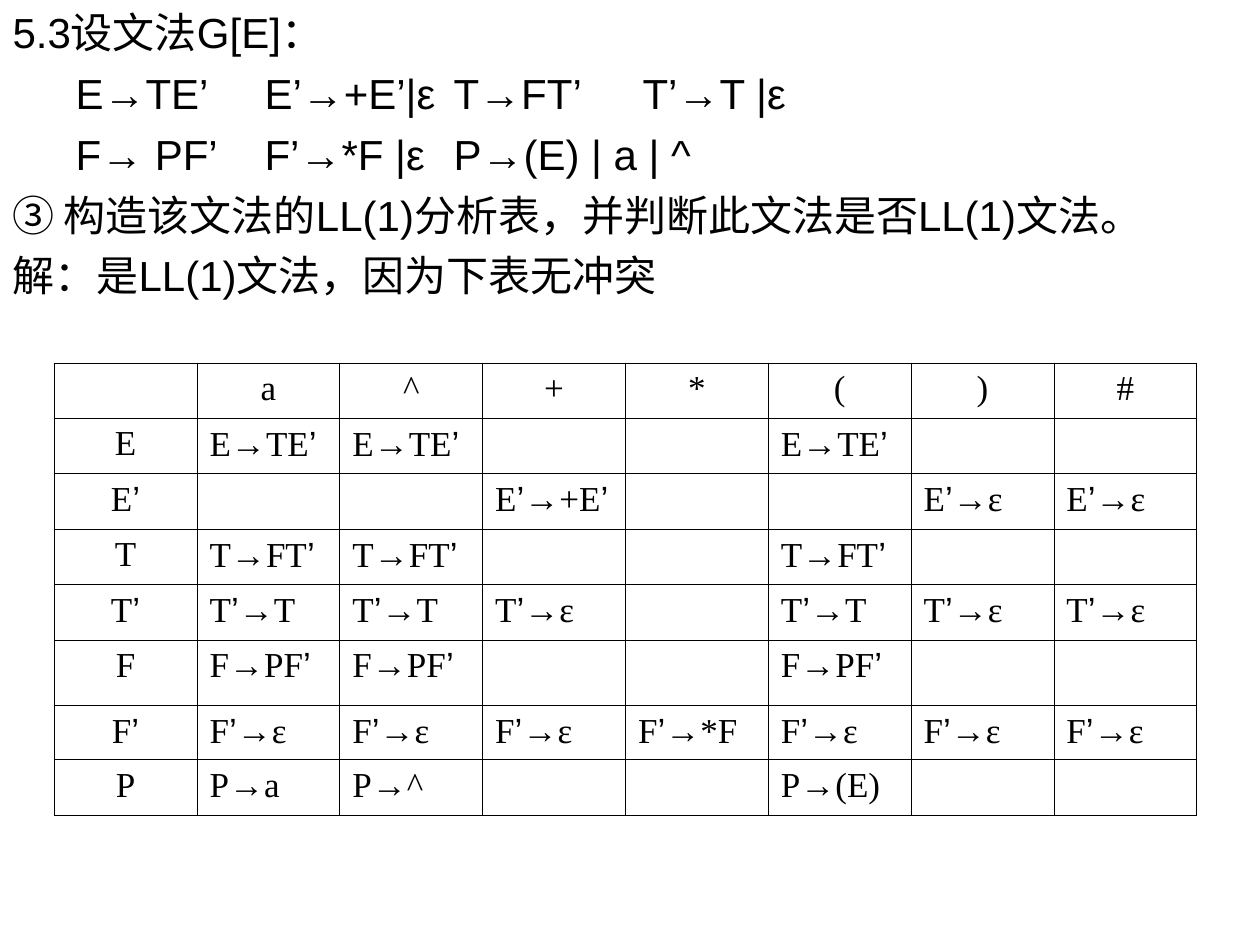
from lxml import etree
from pptx import Presentation
from pptx import util as u
from pptx.dml.color import RGBColor
from pptx.enum import text
from pptx.oxml import ns

COLORS = {"ink": "000000"}
BODY_FONT, TABLE_FONT = "Arial", "Times New Roman"
TAB_STOPS = [0.74, 2.25, 3.87, 6.17]
STATEMENT = [
    "5.3设文法G[E]：",
    "\tE→TE’\tE’→+E’|ε\tT→FT’\tT’→T |ε",
    "\tF→ PF’\tF’→*F |ε\tP→(E) | a | ^",
    "③ 构造该文法的LL(1)分析表，并判断此文法是否LL(1)文法。",
    "解：是LL(1)文法，因为下表无冲突",
]
TERMINALS = ["a", "^", "+", "*", "(", ")", "#"]
PRODUCTIONS = {
    "E": dict.fromkeys("a^(", "TE’"),
    "E’": {"+": "+E’", ")": "ε", "#": "ε"},
    "T": dict.fromkeys("a^(", "FT’"),
    "T’": {**dict.fromkeys("a^(", "T"), **dict.fromkeys("+)#", "ε")},
    "F": dict.fromkeys("a^(", "PF’"),
    "F’": {**dict.fromkeys("a^+()#", "ε"), "*": "*F"},
    "P": {"a": "a", "^": "^", "(": "(E)"},
}
ROW_HEIGHTS = [0.44, 0.44, 0.44, 0.44, 0.44, 0.52, 0.43, 0.44]


def format_run(run, font, size):
    """Set the font, size and colour of a run."""
    run.font.name = font
    run.font.size = u.Pt(size)
    run.font.color.rgb = RGBColor.from_string(COLORS["ink"])


def format_statement_paragraph(paragraph):
    """Remove the bullet and indent, and set the shared tab stops."""
    paragraph.space_before = u.Pt(6)
    properties = paragraph._p.get_or_add_pPr()
    properties.set("marL", "0")
    properties.set("indent", "0")
    etree.SubElement(properties, ns.qn("a:buNone"))
    stops = etree.SubElement(properties, ns.qn("a:tabLst"))
    for position in TAB_STOPS:
        etree.SubElement(stops, ns.qn("a:tab"), pos=str(u.Inches(position)), algn="l")
    for run in paragraph.runs:
        format_run(run, BODY_FONT, 24)


def add_statement(slide):
    """Fill the body placeholder with the exercise and its answer."""
    body = slide.placeholders[1]
    body.left, body.top = u.Inches(0), u.Inches(0)
    body.width, body.height = u.Inches(10), u.Inches(2.57)
    frame = body.text_frame
    frame.text = "\n".join(STATEMENT)
    frame.word_wrap = True
    frame.auto_size = text.MSO_AUTO_SIZE.NONE
    frame.vertical_anchor = text.MSO_ANCHOR.TOP
    for paragraph in frame.paragraphs:
        format_statement_paragraph(paragraph)


def add_borders(cell):
    """Draw a thin line on all four sides of a cell."""
    properties = cell._tc.get_or_add_tcPr()
    for side in ("lnL", "lnR", "lnT", "lnB"):
        line = etree.SubElement(properties, ns.qn(f"a:{side}"), w=str(u.Pt(0.45)))
        fill = etree.SubElement(line, ns.qn("a:solidFill"))
        etree.SubElement(fill, ns.qn("a:srgbClr"), val=COLORS["ink"])


def fill_cell(cell, content, centered):
    """Write a grammar symbol or production, with prime marks in the body font."""
    add_borders(cell)
    cell.fill.background()
    paragraph = cell.text_frame.paragraphs[0]
    paragraph.alignment = text.PP_ALIGN.CENTER if centered else text.PP_ALIGN.LEFT
    for piece in content.replace("’", "|’|").split("|"):
        if piece:
            run = paragraph.add_run()
            run.text = piece
            format_run(run, BODY_FONT if piece == "’" else TABLE_FONT, 20)


def add_parse_table(slide):
    """Add the LL(1) table of nonterminals by terminals."""
    rows = [["", *TERMINALS]]
    for symbol, choices in PRODUCTIONS.items():
        rows.append([symbol] + [f"{symbol}→{choices[t]}" if t in choices else "" for t in TERMINALS])
    table = slide.shapes.add_table(
        len(rows), len(rows[0]), u.Inches(0.43), u.Inches(2.88),
        u.Inches(9.07), u.Inches(sum(ROW_HEIGHTS))).table
    table.first_row = table.horz_banding = False
    for row, height in zip(table.rows, ROW_HEIGHTS):
        row.height = u.Inches(height)
    for i, row in enumerate(rows):
        for j, content in enumerate(row):
            fill_cell(table.cell(i, j), content, i == 0 or j == 0)


def main():
    """Build the slide and save it."""
    presentation = Presentation()
    presentation.slide_width, presentation.slide_height = u.Inches(10), u.Inches(7.5)
    slide = presentation.slides.add_slide(presentation.slide_layouts[1])
    title = slide.shapes.title._element
    title.getparent().remove(title)
    add_statement(slide)
    add_parse_table(slide)
    presentation.save("out.pptx")


main()
